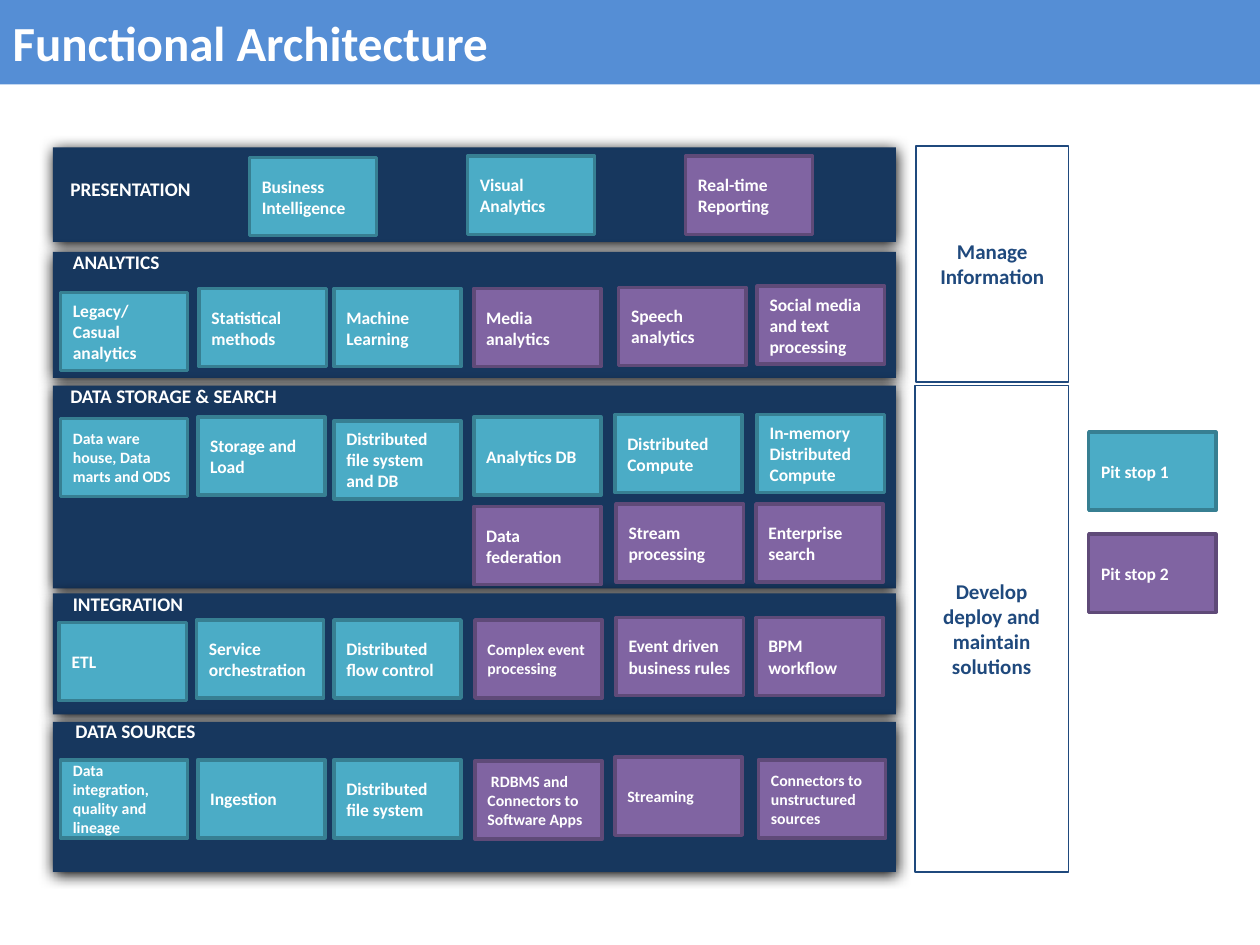
"""Build the Functional Architecture slide: layers of capability tiles beside two cross-cutting activities."""
from dataclasses import dataclass

import pptx
import pptx.dml.color
import pptx.enum.shapes
import pptx.enum.text
import pptx.oxml
import pptx.oxml.ns
import pptx.util
from pptx.util import Inches

COLORS = {
    "title": "558ED5",
    "panel": "17375E",
    "activity": "1F497D",
    "white": "FFFFFF",
    "shadow": "000000",
}
STAGES = {1: ("4BACC6", "377F92"), 2: ("8064A2", "5F4A78")}
FONT = "Calibri"
TILE_WIDTH, TILE_HEIGHT = 1.01, 0.62
PANEL_LEFT, PANEL_WIDTH = 0.42, 6.69
ALIGN = pptx.enum.text.PP_ALIGN
MIDDLE = pptx.enum.text.MSO_ANCHOR.MIDDLE


@dataclass
class Box:
    left: float
    top: float
    width: float
    height: float

    def lengths(self) -> tuple:
        return tuple(Inches(value) for value in (self.left, self.top, self.width, self.height))


@dataclass
class Tile:
    text: str
    left: float
    top: float
    stage: int = 1
    size: int = 10


@dataclass
class Layer:
    name: str
    label: Box
    top: float
    height: float
    tiles: list[Tile]


LAYERS = [
    Layer("PRESENTATION", Box(0.46, 1.36, 1.19, 0.29), 1.17, 0.75, [
        Tile("Business Intelligence", 1.98, 1.25),
        Tile("Visual Analytics", 3.71, 1.24),
        Tile("Real-time Reporting", 5.44, 1.24, 2),
    ]),
    Layer("ANALYTICS", Box(0.48, 1.94, 0.91, 0.29), 2, 1, [
        Tile("Legacy/\nCasual analytics", 0.48, 2.32),
        Tile("Statistical methods", 1.58, 2.29),
        Tile("Machine Learning", 2.65, 2.29),
        Tile("Media analytics", 3.76, 2.29, 2),
        Tile("Speech analytics", 4.91, 2.28, 2),
        Tile("Social media and text processing", 6.01, 2.27, 2),
    ]),
    Layer("DATA STORAGE & SEARCH", Box(0.46, 3, 1.9, 0.29), 3.06, 1.61, [
        Tile("Data ware house, Data marts and ODS", 0.48, 3.32, 1, 9),
        Tile("Storage and Load", 1.57, 3.31),
        Tile("Distributed file system and DB", 2.65, 3.34),
        Tile("Analytics DB", 3.76, 3.31),
        Tile("Distributed Compute", 4.88, 3.29),
        Tile("In-memory Distributed Compute", 6.01, 3.29),
        Tile("Data federation", 3.76, 4.02, 2),
        Tile("Stream processing", 4.89, 4, 2),
        Tile("Enterprise search", 6, 4, 2),
    ]),
    Layer("INTEGRATION", Box(0.48, 4.65, 1.1, 0.29), 4.71, 0.96, [
        Tile("ETL", 0.47, 4.94),
        Tile("Service orchestration", 1.56, 4.92),
        Tile("Distributed flow control", 2.65, 4.92),
        Tile("Complex event processing", 3.77, 4.92, 2, 9),
        Tile("Event driven business rules", 4.89, 4.9, 2),
        Tile("BPM workflow", 6, 4.9, 2),
    ]),
    Layer("DATA SOURCES", Box(0.5, 5.66, 1.19, 0.29), 5.73, 1.19, [
        Tile("Data integration, quality and lineage", 0.48, 6.03, 1, 9),
        Tile("Ingestion", 1.57, 6.03),
        Tile("Distributed file system", 2.65, 6.03),
        Tile(" RDBMS and Connectors to Software Apps", 3.77, 6.04, 2, 9),
        Tile("Streaming", 4.88, 6.01, 2, 9),
        Tile("Connectors to unstructured sources", 6.02, 6.03, 2, 9),
    ]),
]
LEGEND = [Tile("Pit stop 1", 8.64, 3.43), Tile("Pit stop 2", 8.64, 4.24, 2)]
ACTIVITIES = [
    ("Manage Information", Box(7.27, 1.16, 1.21, 1.87)),
    ("Develop\ndeploy and maintain solutions", Box(7.26, 3.06, 1.22, 3.86)),
]


def rgb(value: str) -> pptx.dml.color.RGBColor:
    return pptx.dml.color.RGBColor.from_string(value)


def write_text(shape, text: str, size: int, color: str, alignment=ALIGN.LEFT) -> None:
    shape.text_frame.text = text
    for paragraph in shape.text_frame.paragraphs:
        paragraph.alignment = alignment
        paragraph.font.name = FONT
        paragraph.font.size = pptx.util.Pt(size)
        paragraph.font.bold = True
        paragraph.font.color.rgb = rgb(color)


def add_rectangle(slide, box: Box, fill: str, line: str | None = None, line_width: float = 1):
    shape = slide.shapes.add_shape(pptx.enum.shapes.MSO_SHAPE.RECTANGLE, *box.lengths())
    shape.shadow.inherit = False
    shape.fill.solid()
    shape.fill.fore_color.rgb = rgb(fill)
    if line:
        shape.line.color.rgb = rgb(line)
        shape.line.width = pptx.util.Pt(line_width)
    else:
        shape.line.fill.background()
    shape.text_frame.word_wrap = True
    shape.text_frame.vertical_anchor = MIDDLE
    return shape


def add_panel(slide, layer: Layer) -> None:
    panel = add_rectangle(slide, Box(PANEL_LEFT, layer.top, PANEL_WIDTH, layer.height), COLORS["panel"])
    effects = panel.element.spPr.find(pptx.oxml.ns.qn("a:effectLst"))
    effects.append(pptx.oxml.parse_xml(
        f'<a:outerShdw {pptx.oxml.ns.nsdecls("a")} blurRad="{pptx.util.Pt(8.5)}" '
        f'dist="{pptx.util.Pt(1)}" dir="5400000" algn="ctr" rotWithShape="0">'
        f'<a:srgbClr val="{COLORS["shadow"]}"/></a:outerShdw>'
    ))


def add_label(slide, layer: Layer) -> None:
    label = slide.shapes.add_textbox(*layer.label.lengths())
    label.text_frame.word_wrap = False
    label.text_frame.auto_size = pptx.enum.text.MSO_AUTO_SIZE.SHAPE_TO_FIT_TEXT
    write_text(label, layer.name, 11, COLORS["white"])


def add_tile(slide, tile: Tile) -> None:
    fill, line = STAGES[tile.stage]
    shape = add_rectangle(slide, Box(tile.left, tile.top, TILE_WIDTH, TILE_HEIGHT), fill, line, 2)
    write_text(shape, tile.text, tile.size, COLORS["white"])


def format_title(slide) -> None:
    title = slide.shapes.title
    title.left, title.top, title.width, title.height = Box(0, 0, 10, 0.67).lengths()
    title.fill.solid()
    title.fill.fore_color.rgb = rgb(COLORS["title"])
    title.text_frame.auto_size = pptx.enum.text.MSO_AUTO_SIZE.NONE
    title.text_frame.vertical_anchor = MIDDLE
    write_text(title, "Functional Architecture", 28, COLORS["white"])


def main() -> None:
    presentation = pptx.Presentation()
    presentation.slide_width, presentation.slide_height = Inches(10), Inches(7.5)
    slide = presentation.slides.add_slide(presentation.slide_layouts[5])
    format_title(slide)
    for layer in LAYERS:
        add_panel(slide, layer)
    for layer in LAYERS:
        add_label(slide, layer)
        for tile in layer.tiles:
            add_tile(slide, tile)
    for text, box in ACTIVITIES:
        activity = add_rectangle(slide, box, COLORS["white"], COLORS["activity"])
        write_text(activity, text, 12, COLORS["activity"], ALIGN.CENTER)
    for tile in LEGEND:
        add_tile(slide, tile)
    presentation.save("out.pptx")


if __name__ == "__main__":
    main()
